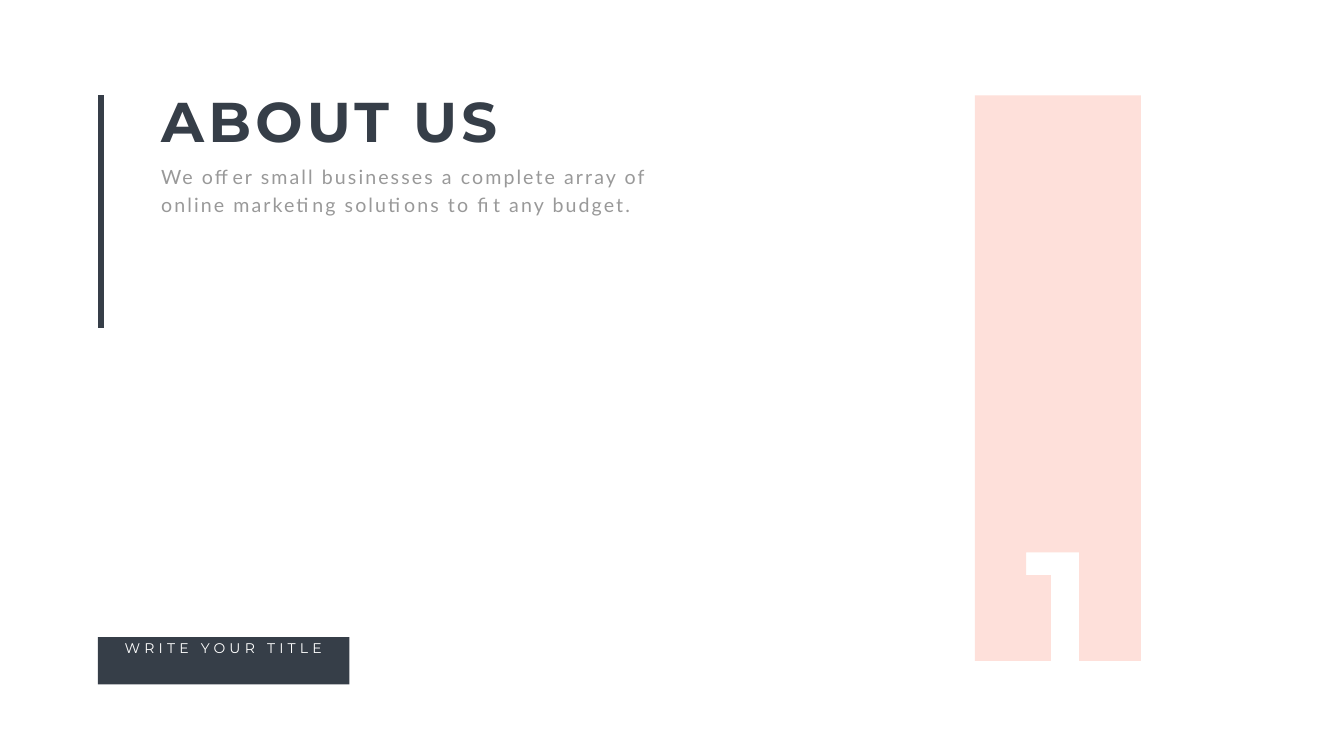
from dataclasses import dataclass

import pptx
import pptx.dml.color
import pptx.enum.shapes
import pptx.enum.text
import pptx.oxml
import pptx.shapes.base
import pptx.slide
import pptx.util
from pptx.oxml.ns import nsdecls

Pt = pptx.util.Pt
NAVY = pptx.dml.color.RGBColor(0x36, 0x3E, 0x48)
GREY = pptx.dml.color.RGBColor(0x99, 0x99, 0x99)
PINK = pptx.dml.color.RGBColor(0xFE, 0xE0, 0xDA)
WHITE = pptx.dml.color.RGBColor(0xFF, 0xFF, 0xFF)


@dataclass(frozen=True)
class Label:
    text: str
    left: float
    top: float
    width: float
    height: float
    font: str
    size: float
    color: pptx.dml.color.RGBColor
    tracking: float
    bold: bool = False
    line_spacing: float | None = None
    centered: bool = False
    wrap: bool = True


LABELS = [
    Label("ABOUT US", 223.2, 120.2, 632.9, 104.4, "Montserrat", 80, NAVY, 6, bold=True),
    Label("We offer small businesses a complete array of online marketing "
          "solutions to fit any budget.",
          223.2, 224.6, 736.6, 85.7, "Lato", 28, GREY, 3, line_spacing=40.8),
    Label("WRITE YOUR TITLE", 166.3, 910.1, 305.3, 31.7, "Montserrat", 20, WHITE, 6,
          centered=True, wrap=False),
]

# Banner outline with the numeral 1 cut out of its lower edge
BANNER_OUTLINE = [
    (1392.5, 136.1), (1629.4, 136.1), (1629.4, 944), (1541.4, 944),
    (1541.4, 789), (1465.7, 789), (1465.7, 821.5), (1501, 821.5),
    (1501, 944), (1392.5, 944),
]


def add_label(slide: pptx.slide.Slide, label: Label) -> None:
    box = slide.shapes.add_textbox(
        Pt(label.left), Pt(label.top), Pt(label.width), Pt(label.height))
    frame = box.text_frame
    frame.word_wrap = label.wrap
    frame.auto_size = pptx.enum.text.MSO_AUTO_SIZE.SHAPE_TO_FIT_TEXT
    paragraph = frame.paragraphs[0]
    if label.centered:
        paragraph.alignment = pptx.enum.text.PP_ALIGN.CENTER
    if label.line_spacing:
        paragraph.line_spacing = Pt(label.line_spacing)
    run = paragraph.add_run()
    run.text = label.text
    run._r.get_or_add_rPr().set("spc", str(round(label.tracking * 100)))
    paragraph.font.name = label.font
    paragraph.font.size = Pt(label.size)
    paragraph.font.bold = label.bold
    paragraph.font.color.rgb = label.color


def paint(shape: pptx.shapes.base.BaseShape, color: pptx.dml.color.RGBColor) -> None:
    """Give a shape a flat fill with no outline or shadow."""
    shape.shadow.inherit = False
    shape.fill.solid()
    shape.fill.fore_color.rgb = color
    shape.line.fill.background()


def add_banner(slide: pptx.slide.Slide) -> None:
    start, *corners = [(Pt(x), Pt(y)) for x, y in BANNER_OUTLINE]
    builder = slide.shapes.build_freeform(*start, scale=1.0)
    builder.add_line_segments(corners, close=True)
    paint(builder.convert_to_shape(), PINK)


def add_heading_rule(slide: pptx.slide.Slide) -> None:
    rule = slide.shapes.add_connector(
        pptx.enum.shapes.MSO_CONNECTOR.STRAIGHT, Pt(144), Pt(136.1), Pt(144), Pt(468.7))
    rule.line.color.rgb = NAVY
    rule.line.width = Pt(8)
    rule._element.spPr.append(pptx.oxml.parse_xml(f"<a:effectLst {nsdecls('a')}/>"))


def main() -> None:
    presentation = pptx.Presentation()
    presentation.slide_width = Pt(1919.52)
    presentation.slide_height = Pt(1080)
    slide = presentation.slides.add_slide(presentation.slide_layouts[6])

    add_banner(slide)
    add_heading_rule(slide)
    title_plate = slide.shapes.add_shape(
        pptx.enum.shapes.MSO_SHAPE.RECTANGLE, Pt(139.7), Pt(910.1), Pt(359.3), Pt(67.7))
    title_plate.top = Pt(910.1)
    paint(title_plate, NAVY)
    for label in LABELS:
        add_label(slide, label)

    presentation.save("out.pptx")


if __name__ == "__main__":
    main()
